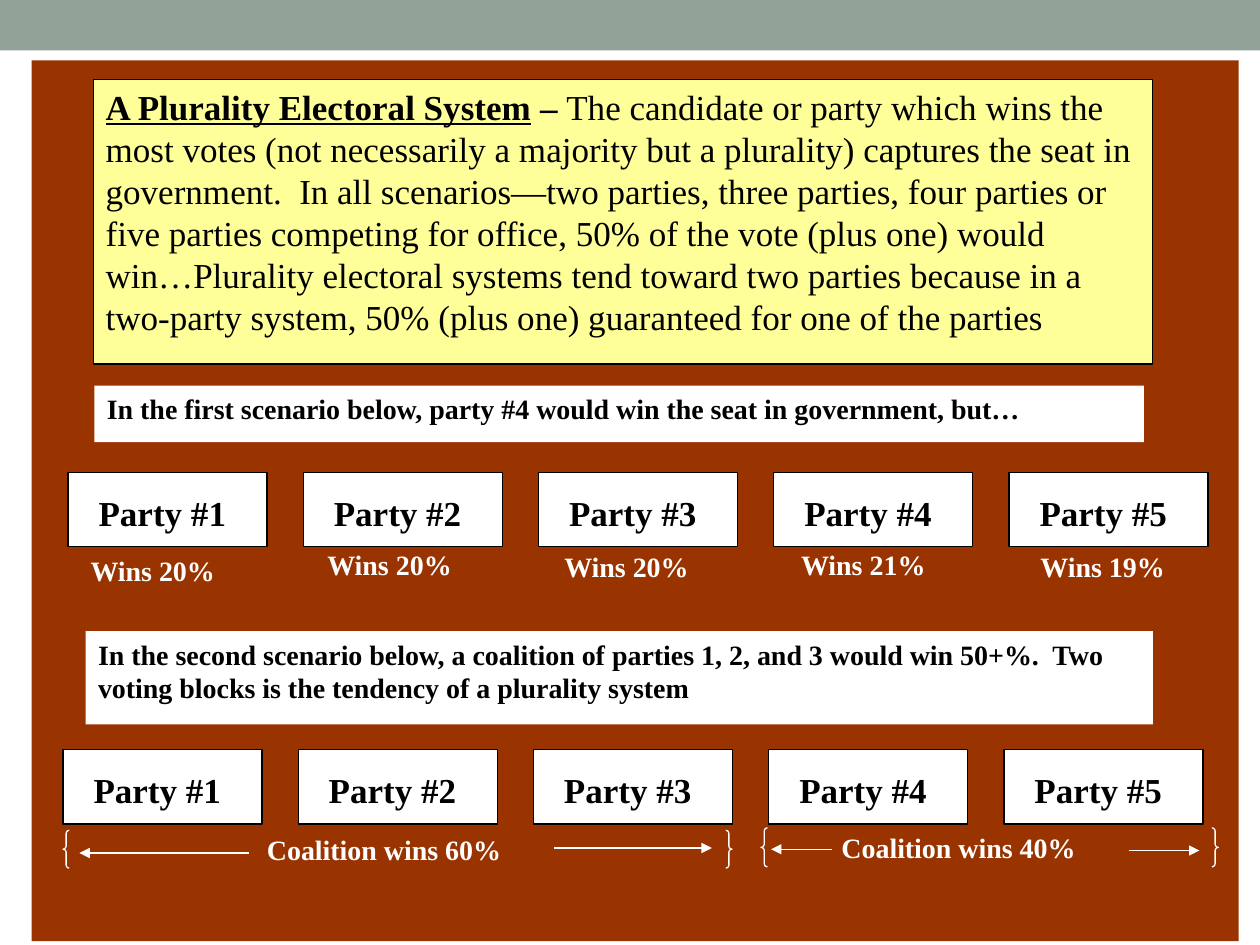
from dataclasses import dataclass

from lxml import etree
from pptx import Presentation
from pptx.dml.color import RGBColor
from pptx.enum import shapes, text
from pptx.oxml import ns
from pptx.util import Inches, Pt

WHITE = RGBColor(0xFF, 0xFF, 0xFF)
BLACK = RGBColor(0x00, 0x00, 0x00)
SAGE = RGBColor(0x93, 0xA2, 0x99)
RUST = RGBColor(0x99, 0x33, 0x00)
YELLOW = RGBColor(0xFF, 0xFF, 0x99)
FONT = "Times New Roman"
PARTY_STEP = 1.867


@dataclass
class Box:
    x: float
    y: float
    w: float
    h: float

    def emu(self) -> list:
        return [Inches(v) for v in (self.x, self.y, self.w, self.h)]


@dataclass
class Label:
    text: str
    box: Box


@dataclass
class Arrow:
    x1: float
    x2: float
    y: float


def add_run(p, words: str, *, size=16, color=BLACK, bold=True, underline=None) -> None:
    r = p.add_run()
    r.text = words
    r.font.name = FONT
    r.font.size = Pt(size)
    r.font.bold = bold
    r.font.underline = underline
    r.font.color.rgb = color


def add_panel(s, box: Box, fill=None, line=None, kind=shapes.MSO_SHAPE.RECTANGLE):
    sp = s.shapes.add_shape(kind, *box.emu())
    sp.shadow.inherit = False
    if fill is None:
        sp.fill.background()
    else:
        sp.fill.solid()
        sp.fill.fore_color.rgb = fill
    if line is None:
        sp.line.fill.background()
    else:
        sp.line.color.rgb = line
        sp.line.width = Pt(0.75)
    return sp


def first_paragraph(sp, align=text.PP_ALIGN.LEFT, anchor=text.MSO_ANCHOR.TOP):
    tf = sp.text_frame
    tf.word_wrap = True
    tf.vertical_anchor = anchor
    p = tf.paragraphs[0]
    p.alignment = align
    return p


def add_note(s, label: Label) -> None:
    add_run(first_paragraph(add_panel(s, label.box, WHITE)), label.text)


def add_caption(s, label: Label) -> None:
    sp = s.shapes.add_textbox(*label.box.emu())
    add_run(first_paragraph(sp), label.text, color=WHITE)


def add_party_row(s, left: float, top: float) -> None:
    for i in range(5):
        sp = add_panel(s, Box(left + i * PARTY_STEP, top, 1.58, 0.59), WHITE, BLACK)
        p = first_paragraph(sp, text.PP_ALIGN.CENTER, text.MSO_ANCHOR.MIDDLE)
        add_run(p, f"Party #{i + 1}", size=20)
        add_run(p, " ", size=24)


def add_braces(s, box: Box) -> None:
    sp = add_panel(s, box, line=WHITE, kind=shapes.MSO_SHAPE.DOUBLE_BRACE)
    sp.adjustments[0] = 0.083


def add_arrow(s, arrow: Arrow) -> None:
    y = Inches(arrow.y)
    c = s.shapes.add_connector(shapes.MSO_CONNECTOR.STRAIGHT,
                               Inches(arrow.x1), y, Inches(arrow.x2), y)
    c.line.color.rgb = WHITE
    c.line.width = Pt(0.75)
    etree.SubElement(c.line._get_or_add_ln(), ns.qn("a:tailEnd"), type="triangle")
    etree.SubElement(c._element.spPr, ns.qn("a:effectLst"))


def main() -> None:
    prs = Presentation()
    prs.slide_width, prs.slide_height = Inches(10), Inches(7.5)
    s = prs.slides.add_slide(prs.slide_layouts[6])

    # Top band and backdrop
    add_panel(s, Box(0, 0, 10, 0.4), SAGE)
    add_panel(s, Box(0.25, 0.48, 9.58, 6.99), RUST)

    # Definition
    p = first_paragraph(add_panel(s, Box(0.74, 0.63, 8.41, 2.26), YELLOW, BLACK))
    add_run(p, "A Plurality Electoral System", size=20, underline=True)
    add_run(p, " – ", size=20)
    add_run(p, "The candidate or party which wins the most votes (not necessarily "
               "a majority but a plurality) captures the seat in government.  In all "
               "scenarios—two parties, three parties, four parties or five parties "
               "competing for office, 50% of the vote (plus one) would win…Plurality "
               "electoral systems tend toward two parties because in a two-party "
               "system, 50% (plus one) guaranteed for one of the parties",
            size=20, bold=False)

    # First scenario: five separate parties
    add_note(s, Label("In the first scenario below, party #4 would win the seat in "
                      "government, but…", Box(0.75, 3.06, 8.33, 0.45)))
    add_party_row(s, 0.54, 3.75)
    for label in (Label("Wins 20%", Box(0.62, 4.34, 1.38, 0.55)),
                  Label("Wins 20%", Box(2.5, 4.3, 1.44, 0.45)),
                  Label("Wins 20%", Box(4.38, 4.31, 1.45, 0.45)),
                  Label("Wins 21%", Box(6.26, 4.3, 1.44, 0.45)),
                  Label("Wins 19%", Box(8.16, 4.31, 1.5, 0.54))):
        add_caption(s, label)

    # Second scenario: two coalitions
    add_note(s, Label("In the second scenario below, a coalition of parties 1, 2, and "
                      "3 would win 50+%.  Two voting blocks is the tendency of a "
                      "plurality system", Box(0.68, 5.01, 8.47, 0.74)))
    add_party_row(s, 0.5, 5.95)
    add_braces(s, Box(0.5, 6.59, 5.31, 0.3))
    add_braces(s, Box(6.04, 6.57, 3.63, 0.31))
    add_caption(s, Label("Coalition wins 60%", Box(2.02, 6.56, 2.39, 0.45)))
    add_caption(s, Label("Coalition wins 40%", Box(6.58, 6.54, 2.61, 0.45)))
    for arrow in (Arrow(4.4, 5.65, 6.73), Arrow(1.98, 0.63, 6.77),
                  Arrow(8.96, 9.52, 6.75), Arrow(6.6, 6.12, 6.74)):
        add_arrow(s, arrow)

    prs.save("out.pptx")


if __name__ == "__main__":
    main()
